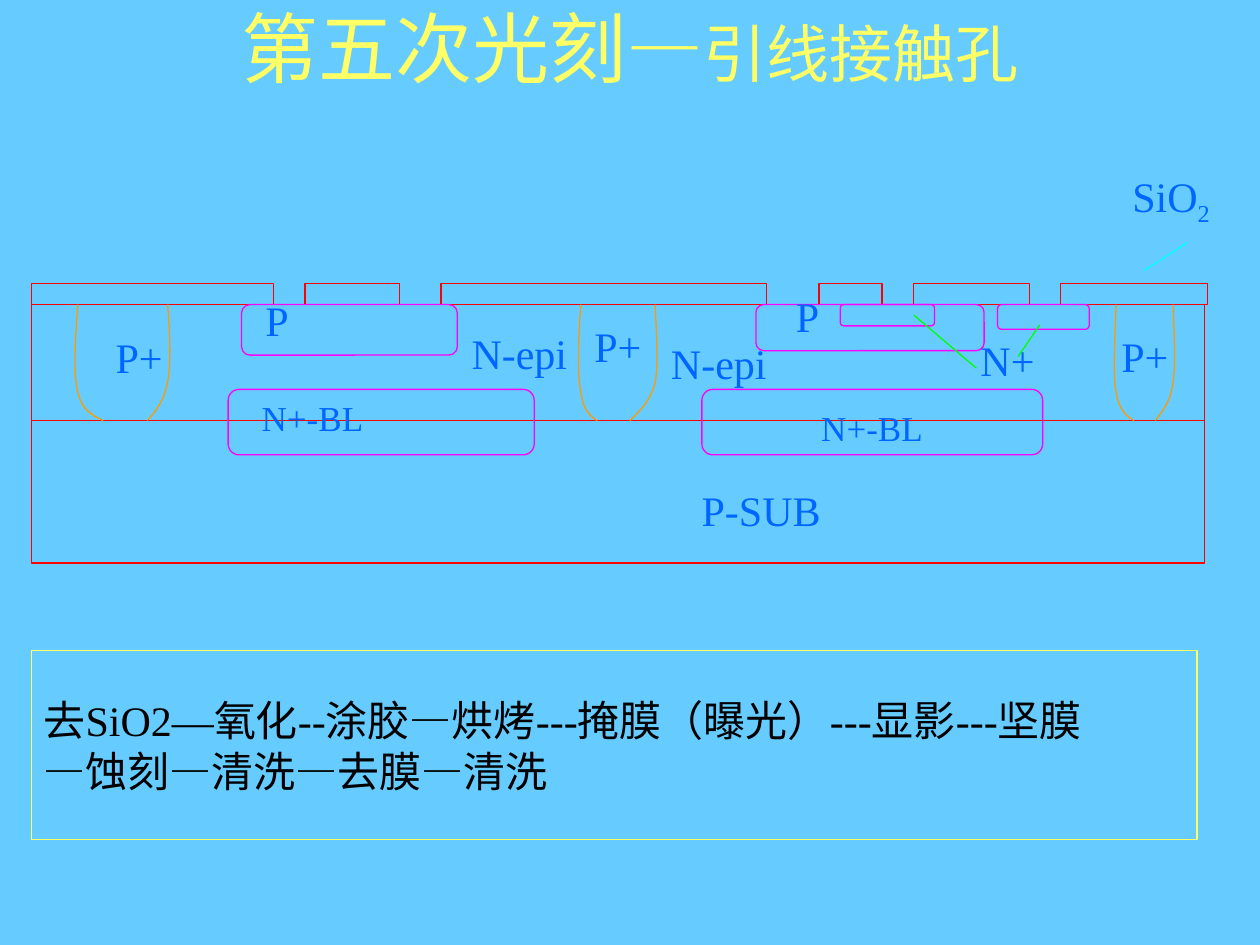
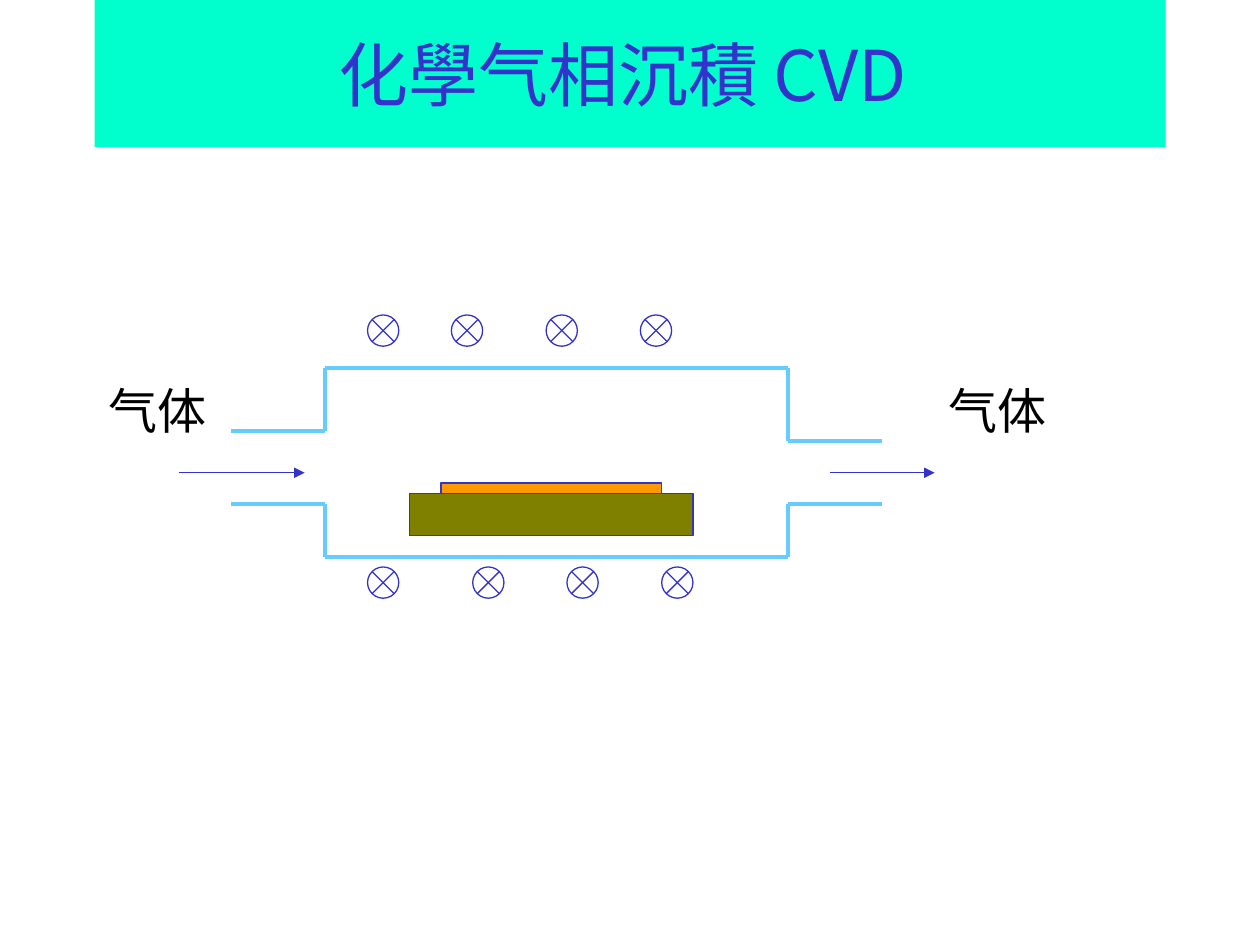
"""Build two slides on chip making: contact hole lithography and chemical vapour deposition."""
import itertools

import lxml.etree
import pptx
import pptx.dml.color
import pptx.enum.shapes
import pptx.enum.text
import pptx.oxml.ns
import pptx.util

Cm = pptx.util.Cm
Pt = pptx.util.Pt
RGBColor = pptx.dml.color.RGBColor
MSO_SHAPE = pptx.enum.shapes.MSO_SHAPE
MIDDLE = pptx.enum.text.MSO_ANCHOR.MIDDLE
CENTER = pptx.enum.text.PP_ALIGN.CENTER
LEFT = pptx.enum.text.PP_ALIGN.LEFT
qn = pptx.oxml.ns.qn

SKY = RGBColor(0x66, 0xCC, 0xFF)
WHITE = RGBColor(0xFF, 0xFF, 0xFF)
BLACK = RGBColor(0, 0, 0)
YELLOW = RGBColor(0xFF, 0xFF, 0x66)
BLUE = RGBColor(0x00, 0x66, 0xFF)
INDIGO = RGBColor(0x33, 0x33, 0xCC)
RED = RGBColor(0xFF, 0, 0)
MAGENTA = RGBColor(0xFF, 0, 0xFF)
ORANGE = RGBColor(0xFF, 0x99, 0)
GREEN = RGBColor(0, 0xFF, 0)
CYAN = RGBColor(0, 0xFF, 0xFF)
MINT = RGBColor(0, 0xFF, 0xCC)
OLIVE = RGBColor(0x80, 0x80, 0)
SERIF = "Times New Roman"
CJK_FONT = "Noto Sans CJK SC"
THIN = Pt(0.75)
THICK = Pt(2.25)


def draw_box(slide, kind, box, color=None, fill=None):
    shape = slide.shapes.add_shape(kind, *map(Cm, box))
    shape.shadow.inherit = False
    if color is None:
        shape.line.fill.background()
    else:
        shape.line.color.rgb = color
        shape.line.width = THIN
    if fill is None:
        shape.fill.background()
    else:
        shape.fill.solid()
        shape.fill.fore_color.rgb = fill
    return shape


def draw_line(slide, start, end, color, width=THIN, arrow=False):
    connector = slide.shapes.add_connector(
        pptx.enum.shapes.MSO_CONNECTOR.STRAIGHT, *map(Cm, (*start, *end)))
    connector.line.color.rgb = color
    connector.line.width = width
    properties = connector._element.spPr
    if arrow:
        lxml.etree.SubElement(properties.find(qn("a:ln")), qn("a:tailEnd"), type="triangle")
    lxml.etree.SubElement(properties, qn("a:effectLst"))


presentation = pptx.Presentation()
presentation.slide_width = Cm(25.4)
presentation.slide_height = Cm(19.05)

slides = []
for background, title_height, title_color, title_font, title_runs in [
    (SKY, 1.9, YELLOW, SERIF, [("第五次光刻—", 44), ("引线接触孔", 36)]),
    (WHITE, 2.96, INDIGO, CJK_FONT, [("化學气相沉積 CVD ", 40)]),
]:
    slide = presentation.slides.add_slide(presentation.slide_layouts[5])
    slide.background.fill.solid()
    slide.background.fill.fore_color.rgb = background
    title = slide.shapes.title
    title.left, title.top, title.width, title.height = map(Cm, (1.91, 0, 21.59, title_height))
    title.text_frame.auto_size = pptx.enum.text.MSO_AUTO_SIZE.NONE
    title.text_frame.vertical_anchor = MIDDLE
    paragraph = title.text_frame.paragraphs[0]
    paragraph.alignment = CENTER
    paragraph.font.name = title_font
    paragraph.font.color.rgb = title_color
    for text, size in title_runs:
        run = paragraph.add_run()
        run.text = text
        run.font.size = Pt(size)
    slides.append(slide)

contact_slide, cvd_slide = slides
cvd_slide.shapes.title.fill.solid()
cvd_slide.shapes.title.fill.fore_color.rgb = MINT

SURFACE, JUNCTION = 6.14, 8.48
for top, height in [(JUNCTION, 2.87), (SURFACE, JUNCTION - SURFACE)]:
    draw_box(contact_slide, MSO_SHAPE.RECTANGLE, (0.64, top, 23.65, height), RED)

for left, width in [(0.64, 4.87), (6.15, 1.9), (8.89, 6.56),
                    (16.51, 1.27), (18.42, 2.33), (21.38, 2.96)]:
    draw_box(contact_slide, MSO_SHAPE.RECTANGLE, (left, 5.72, width, SURFACE - 5.72), RED)

for region in [
    (4.6, 7.85, 6.17, 1.32), (14.15, 7.85, 6.87, 1.32),
    (4.87, SURFACE, 4.35, 1.02), (15.24, SURFACE, 4.6, 0.93),
    (16.94, SURFACE, 1.9, 0.43), (20.11, SURFACE, 1.85, 0.5),
]:
    draw_box(contact_slide, MSO_SHAPE.ROUNDED_RECTANGLE, region, MAGENTA)

LEFT_DEPTHS = (SURFACE, 6.83, 7.52, 7.9, 8.28, 8.38, JUNCTION)
RIGHT_DEPTHS = (SURFACE, 6.73, 7.32, 7.7, 8.1, 8.28, JUNCTION)
for depths, positions in [
    (LEFT_DEPTHS, (1.57, 1.52, 1.47, 1.57, 1.65, 1.88, 2.08)),
    (RIGHT_DEPTHS, (3.38, 3.43, 3.45, 3.38, 3.3, 3.15, 2.97)),
    (LEFT_DEPTHS, (11.71, 11.66, 11.63, 11.71, 11.76, 11.89, 12.04)),
    (RIGHT_DEPTHS, (13.21, 13.23, 13.28, 13.21, 13.11, 12.9, 12.7)),
    (LEFT_DEPTHS, (22.5, 22.48, 22.43, 22.5, 22.56, 22.71, 22.86)),
    (RIGHT_DEPTHS, (23.65, 23.67, 23.7, 23.65, 23.6, 23.44, 23.29)),
]:
    start, *controls = [(Cm(x), Cm(y)) for x, y in zip(positions, depths)]
    builder = contact_slide.shapes.build_freeform(*start)
    builder.add_line_segments(controls, close=False)
    isolation_wall = builder.convert_to_shape()
    isolation_wall.shadow.inherit = False
    isolation_wall.fill.background()
    isolation_wall.line.color.rgb = ORANGE
    isolation_wall.line.width = THIN
    outline = next(isolation_wall._element.iter(qn("a:path")))
    segments = outline.findall(qn("a:lnTo"))
    for first in (0, 3):
        curve = lxml.etree.SubElement(outline, qn("a:cubicBezTo"))
        for segment in segments[first:first + 3]:
            curve.append(segment[0])
            outline.remove(segment)

for start, end, color in [
    ((19.68, 7.42), (18.42, 6.35), GREEN),
    ((20.96, 6.55), (20.52, 7.19), GREEN),
    ((23.06, 5.46), (23.95, 4.88), CYAN),
]:
    draw_line(contact_slide, start, end, color)

process_note = draw_box(contact_slide, MSO_SHAPE.RECTANGLE, (0.63, 13.12, 23.5, 3.81), YELLOW)
process_note.text_frame.text = (
    "去SiO2—氧化--涂胶—烘烤---掩膜（曝光）---显影---坚膜\n—蚀刻—清洗—去膜—清洗")
process_note.text_frame.word_wrap = False
process_note.text_frame.vertical_anchor = MIDDLE
for paragraph in process_note.text_frame.paragraphs:
    paragraph.alignment = LEFT
    paragraph.font.name = SERIF
    paragraph.font.size = Pt(24)
    paragraph.font.color.rgb = BLACK

PIPE_IN, CHAMBER_LEFT, CHAMBER_RIGHT, PIPE_OUT = 4.66, 6.56, 15.88, 17.78
for chamber_edge, inlet, outlet in [(7.41, 8.68, 8.89), (11.22, 10.16, 10.16)]:
    wall = [
        (PIPE_IN, inlet), (CHAMBER_LEFT, inlet), (CHAMBER_LEFT, chamber_edge),
        (CHAMBER_RIGHT, chamber_edge), (CHAMBER_RIGHT, outlet), (PIPE_OUT, outlet),
    ]
    for start, end in itertools.pairwise(wall):
        draw_line(cvd_slide, start, end, SKY, THICK)

for start, end in [(3.6, 6.14), (16.73, 18.84)]:
    draw_line(cvd_slide, (start, 9.53), (end, 9.53), INDIGO, arrow=True)

draw_box(cvd_slide, MSO_SHAPE.RECTANGLE, (8.26, 9.95, 5.71, 0.85), INDIGO, OLIVE)
draw_box(cvd_slide, MSO_SHAPE.RECTANGLE, (8.89, 9.74, 4.44, 0.21), INDIGO, ORANGE)

for top, coil_lefts in [(6.35, (7.41, 9.1, 11.01, 12.91)), (11.43, (7.41, 9.53, 11.43, 13.34))]:
    for left in coil_lefts:
        draw_box(cvd_slide, MSO_SHAPE.FLOWCHART_SUMMING_JUNCTION, (left, top, 0.63, 0.63), INDIGO)

for slide, text, subscript, size, color, box in [
    (contact_slide, "SiO", "2", 24, BLUE, (22.66, 3.38, 1.9, 1.27)),
    (contact_slide, "N+", "", 24, BLUE, (19.89, 6.98, 0.84, 0.53)),
    (contact_slide, "N+-BL", "", 20, BLUE, (5.03, 7.85, 2.54, 1.12)),
    (contact_slide, "N+-BL", "", 20, BLUE, (16.31, 8.05, 2.54, 1.12)),
    (contact_slide, "P-SUB", "", 24, BLUE, (11.56, 9.8, 7.57, 0.97)),
    (contact_slide, "N-epi", "", 24, BLUE, (9.52, 6.78, 1.9, 0.66)),
    (contact_slide, "N-epi", "", 24, BLUE, (13.54, 6.98, 1.9, 0.66)),
    (contact_slide, "P+", "", 24, BLUE, (1.6, 6.81, 2.41, 0.76)),
    (contact_slide, "P+", "", 24, BLUE, (11.25, 6.6, 2.41, 0.74)),
    (contact_slide, "P+", "", 24, BLUE, (22.66, 6.78, 0.84, 0.79)),
    (contact_slide, "P", "", 24, BLUE, (5.28, 6.15, 0.61, 0.58)),
    (contact_slide, "P", "", 24, BLUE, (15.95, 5.99, 0.66, 0.76)),
    (cvd_slide, "气体", "", 28, BLACK, (1.9, 7.62, 2.54, 1.27)),
    (cvd_slide, "气体", "", 28, BLACK, (18.84, 7.62, 2.54, 1.27)),
]:
    label = draw_box(slide, MSO_SHAPE.RECTANGLE, box)
    label.text_frame.word_wrap = False
    label.text_frame.vertical_anchor = MIDDLE
    paragraph = label.text_frame.paragraphs[0]
    paragraph.text = text
    paragraph.alignment = CENTER
    paragraph.font.name = SERIF
    paragraph.font.size = Pt(size)
    paragraph.font.color.rgb = color
    if subscript:
        run = paragraph.add_run()
        run.text = subscript
        run._r.get_or_add_rPr().set("baseline", "-25000")

for slide in slides:
    for font_properties in slide.element.iter(qn("a:defRPr")):
        lxml.etree.SubElement(font_properties, qn("a:ea"), typeface=CJK_FONT)

presentation.save("out.pptx")
